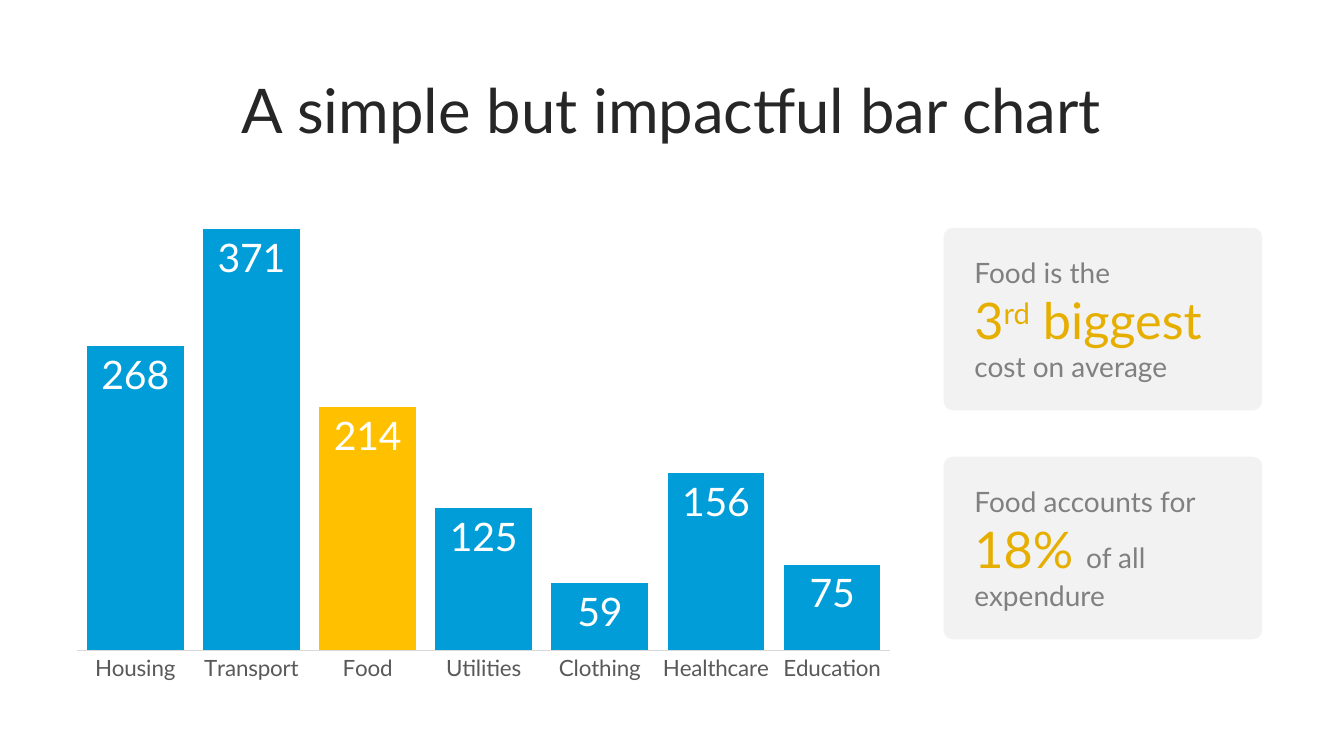
from lxml.etree import SubElement
from pptx import Presentation
from pptx.chart.data import CategoryChartData
from pptx.dml.color import RGBColor
from pptx.enum.chart import XL_CHART_TYPE, XL_LABEL_POSITION, XL_TICK_MARK
from pptx.enum.shapes import MSO_SHAPE
from pptx.enum.text import MSO_ANCHOR, PP_ALIGN
from pptx.oxml.ns import qn
from pptx.util import Cm, Pt

FONT = "Lato"
BLUE, YELLOW, GOLD = "009DD9", "FFC000", "E6AF00"
WHITE, LIGHT, RULE, GREY = "FFFFFF", "F2F2F2", "D9D9D9", "808080"
DARK, AXIS_TEXT = "262626", "595959"

TITLE = "A simple but impactful bar chart"
COSTS = {"Housing": 268, "Transport": 371, "Food": 214, "Utilities": 125,
         "Clothing": 59, "Healthcare": 156, "Education": 75}
HIGHLIGHT = "Food"

SMALL = {"size": 20, "color": GREY}
BIG = {"size": 36, "color": GOLD}
CARDS = [
    [("Food is the ", {**SMALL, "line_break": True}), ("3", BIG),
     ("rd", {**BIG, "superscript": True}), (" biggest ", BIG),
     ("cost on average", SMALL)],
    [("Food accounts for ", SMALL), ("18% ", BIG), ("of all expendure", SMALL)],
]
CARD_LEFT, CARD_TOP, CARD_STEP = 23.78, 5.74, 5.77
CARD_WIDTH, CARD_HEIGHT = 8.03, 4.6


def rgb(color):
    return RGBColor.from_string(color)


def format_font(font, size, color):
    font.name = FONT
    font.size = Pt(size)
    font.bold = False
    font.color.rgb = rgb(color)


def add_text(paragraph, text, size, color, superscript=False, line_break=False):
    run = paragraph.add_run()
    run.text = text
    format_font(run.font, size, color)
    if superscript:
        run._r.get_or_add_rPr().set("baseline", "30000")
    if line_break:
        paragraph.add_line_break()


def add_title(slide):
    title = slide.shapes.title
    title.left, title.top, title.width, title.height = Cm(2.33), Cm(1.01), Cm(29.21), Cm(3.68)
    title.text_frame.vertical_anchor = MSO_ANCHOR.MIDDLE
    paragraph = title.text_frame.paragraphs[0]
    paragraph.alignment = PP_ALIGN.CENTER
    paragraph.line_spacing = 0.9
    add_text(paragraph, TITLE, size=44, color=DARK)


def add_cost_chart(slide):
    data = CategoryChartData()
    data.categories = list(COSTS)
    data.add_series("Series 1", list(COSTS.values()))
    chart = slide.shapes.add_chart(XL_CHART_TYPE.COLUMN_CLUSTERED, Cm(1.52), Cm(4.7),
                                   Cm(21.34), Cm(12.7), data).chart
    chart.has_legend = chart.has_title = False
    format_font(chart.font, 10, "000000")

    chart.value_axis.visible = False
    chart.value_axis.has_major_gridlines = False
    chart.value_axis.minimum_scale = 0
    chart.value_axis.maximum_scale = 400
    axis = chart.category_axis
    axis.major_tick_mark = axis.minor_tick_mark = XL_TICK_MARK.NONE
    axis.format.line.color.rgb = rgb(RULE)
    axis.format.line.width = Pt(0.75)
    format_font(axis.tick_labels.font, 16, AXIS_TEXT)

    plot = chart.plots[0]
    plot.gap_width = 20
    plot.vary_by_categories = False
    series = plot.series[0]
    food_bar = series.points[list(COSTS).index(HIGHLIGHT)]
    for bar, color in ((series, BLUE), (food_bar, YELLOW)):
        bar.format.fill.solid()
        bar.format.fill.fore_color.rgb = rgb(color)
    labels = series.data_labels
    labels.show_value = True
    labels.position = XL_LABEL_POSITION.INSIDE_END
    format_font(labels.font, 28, WHITE)


def add_card(slide, top, runs):
    card = slide.shapes.add_shape(MSO_SHAPE.ROUNDED_RECTANGLE, Cm(CARD_LEFT), Cm(top),
                                  Cm(CARD_WIDTH), Cm(CARD_HEIGHT))
    card.adjustments[0] = 0.05
    card.shadow.inherit = False
    card.fill.solid()
    card.fill.fore_color.rgb = rgb(LIGHT)
    card.line.fill.background()
    frame = card.text_frame
    frame.word_wrap = True
    frame.vertical_anchor = MSO_ANCHOR.MIDDLE
    frame.margin_left = frame.margin_right = Cm(0.71)
    frame.margin_top = frame.margin_bottom = Cm(0.61)
    SubElement(frame._txBody.bodyPr, qn("a:spAutoFit"))
    paragraph = frame.paragraphs[0]
    paragraph.alignment = PP_ALIGN.LEFT
    for text, style in runs:
        add_text(paragraph, text, **style)


def main():
    presentation = Presentation()
    presentation.slide_width, presentation.slide_height = Cm(33.87), Cm(19.05)
    slide = presentation.slides.add_slide(presentation.slide_layouts[5])
    add_title(slide)
    add_cost_chart(slide)
    for index, runs in enumerate(CARDS):
        add_card(slide, CARD_TOP + index * CARD_STEP, runs)
    presentation.save("out.pptx")


if __name__ == "__main__":
    main()
